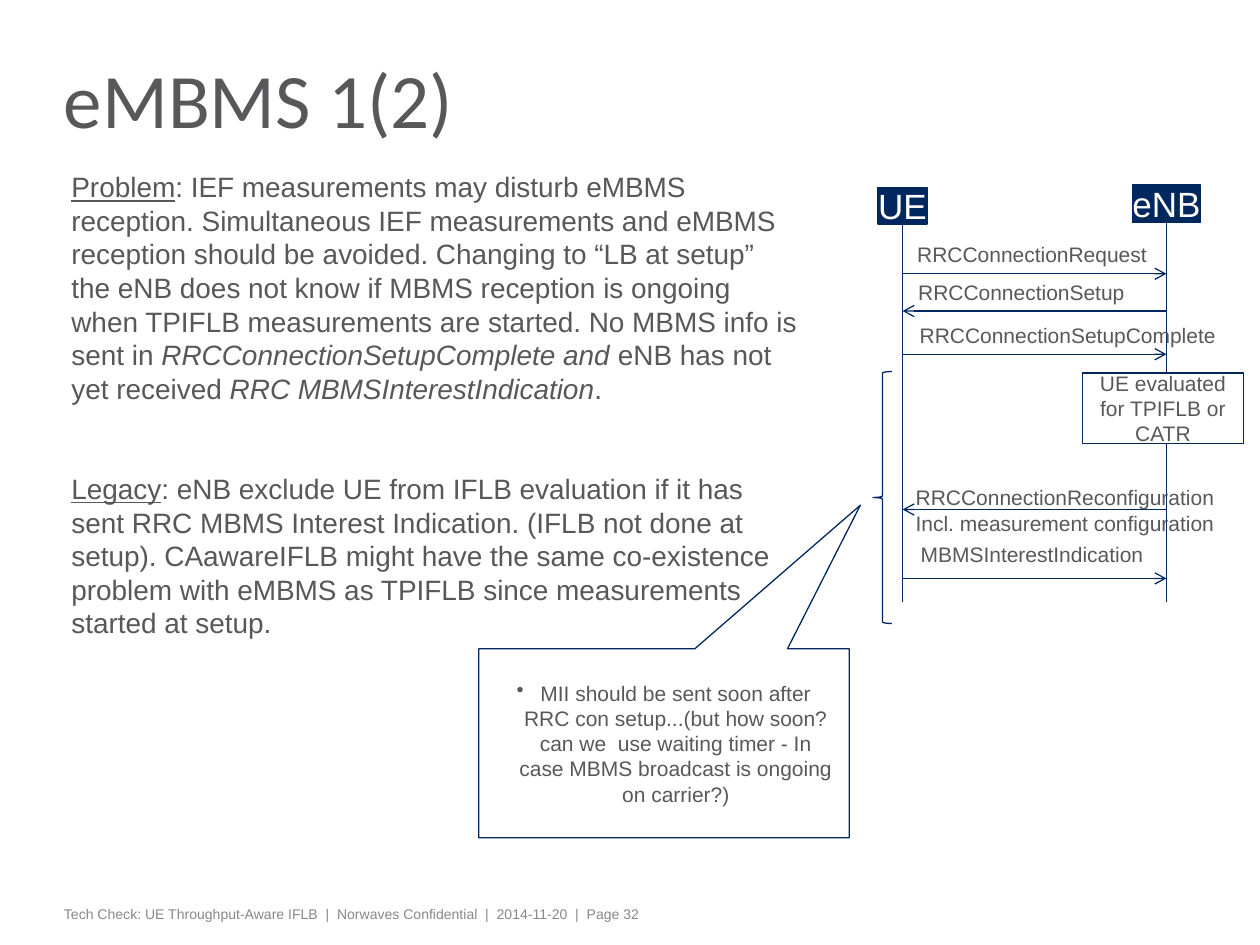
import pptx
import pptx.util
import pptx.dml.color
import pptx.enum.dml
import pptx.enum.shapes
import pptx.enum.text
import pptx.oxml
import pptx.oxml.ns
from lxml import etree

Cm, Pt = pptx.util.Cm, pptx.util.Pt
RGB = pptx.dml.color.RGBColor.from_string
SHAPE = pptx.enum.shapes.MSO_SHAPE
ALIGN = pptx.enum.text.PP_ALIGN
ANCHOR = pptx.enum.text.MSO_ANCHOR
AUTO_SIZE = pptx.enum.text.MSO_AUTO_SIZE

THEME = {
    "navy": "00285E", "text": "58585A", "muted": "87888A", "white": "FFFFFF",
    "title_font": "Calibri", "font": "Arial",
    "title": 44, "node": 20, "body": 16, "label": 12, "footer": 8, "line": 0.75,
}

# Content: runs are (text, style); boxes are (left, top, width, height) in cm
TITLE = "eMBMS 1(2)"
FOOTER = "Tech Check: UE Throughput-Aware IFLB  |  Norwaves Confidential  |  2014-11-20  |  Page 32"
BODY = [
    [
        ("Problem", "underline"),
        (": IEF measurements may disturb eMBMS reception. Simultaneous IEF measurements "
         "and eMBMS reception should be avoided. Changing to “LB at setup” the eNB does not "
         "know if MBMS reception is ongoing when TPIFLB measurements are started. "
         "No MBMS info is sent in ", None),
        ("RRCConnectionSetupComplete and ", "italic"),
        ("eNB has not yet received ", None),
        ("RRC MBMSInterestIndication", "italic"),
        (".", None),
    ],
    [
        ("Legacy", "underline"),
        (": eNB exclude UE from IFLB evaluation if it has sent RRC MBMS Interest Indication. "
         "(IFLB not done at setup). CAawareIFLB might have the same co-existence problem with "
         "eMBMS as TPIFLB since measurements started at setup.", None),
    ],
]
NODES = {"UE": (17.7, 3.78, 0.99, 0.74), "eNB": (22.83, 3.73, 1.37, 0.76)}
LIFELINE_END = 12.13
# (label lines, label box, arrow height, sender, receiver)
MESSAGES = [
    (["RRCConnectionRequest"], (18.24, 4.75, 5.26, 0.76), 5.52, "UE", "eNB"),
    (["RRCConnectionSetup"], (18.26, 5.51, 4.67, 0.76), 6.27, "eNB", "UE"),
    (["RRCConnectionSetupComplete"], (18.29, 6.38, 6.48, 0.76), 7.14, "UE", "eNB"),
    (["RRCConnectionReconfiguration", "Incl. measurement configuration"],
     (18.21, 9.65, 6.53, 1.27), 10.27, "eNB", "UE"),
    (["MBMSInterestIndication"], (18.31, 10.8, 5.0, 0.76), 11.66, "UE", "eNB"),
]
EVALUATION = "UE evaluated for TPIFLB or CATR"
CALLOUT = ("MII should be sent soon after RRC con setup...(but how soon? can we  use "
           "waiting timer - In case MBMS broadcast is ongoing on carrier?)")


def set_font(paragraph, size, color="text", font="font"):
    paragraph.font.size = Pt(THEME[size])
    paragraph.font.name = THEME[font]
    paragraph.font.color.rgb = RGB(THEME[color])


def add_text(slide, box, paragraphs, size, color="text", wrap=True):
    frame = slide.shapes.add_textbox(*map(Cm, box)).text_frame
    frame.word_wrap = wrap
    for index, runs in enumerate(paragraphs):
        paragraph = frame.add_paragraph() if index else frame.paragraphs[0]
        for text, style in runs:
            run = paragraph.add_run()
            run.text = text
            if style:
                setattr(run.font, style, True)
        set_font(paragraph, size, color)
    return frame


def add_box(slide, kind, box, fill=None):
    shape = slide.shapes.add_shape(kind, *map(Cm, box))
    shape.shadow.inherit = False
    if fill:
        shape.fill.solid()
        shape.fill.fore_color.rgb = RGB(THEME[fill])
    else:
        shape.fill.background()
    shape.line.color.rgb = RGB(THEME["navy"])
    shape.line.width = Pt(THEME["line"])
    return shape


def write_centred(shape, text, size, color="text", wrap=True):
    frame = shape.text_frame
    frame.word_wrap = wrap
    frame.vertical_anchor = ANCHOR.MIDDLE
    paragraph = frame.paragraphs[0]
    paragraph.text = text
    paragraph.alignment = ALIGN.CENTER
    set_font(paragraph, size, color)
    return paragraph


def add_line(slide, start, end, arrow=False):
    line = slide.shapes.add_connector(
        pptx.enum.shapes.MSO_CONNECTOR.STRAIGHT, *map(Cm, start + end))
    line.line.color.rgb = RGB(THEME["navy"])
    line.line.width = Pt(THEME["line"])
    if arrow:
        etree.SubElement(line.line._get_or_add_ln(),
                         pptx.oxml.ns.qn("a:tailEnd"), type="arrow")
    etree.SubElement(line._element.spPr, pptx.oxml.ns.qn("a:effectLst"))
    return line


def add_bullet(paragraph):
    properties = paragraph._p.get_or_add_pPr()
    properties.set("marL", str(Cm(0.48)))
    properties.set("indent", str(-Cm(0.48)))
    bullet = etree.Element(pptx.oxml.ns.qn("a:buChar"), char="•")
    properties.insert(0, bullet)


def main():
    presentation = pptx.Presentation()
    presentation.slide_width, presentation.slide_height = Cm(25.4), Cm(19.05)
    slide = presentation.slides.add_slide(presentation.slide_layouts[5])

    # Title
    title = slide.shapes.title
    title.left, title.top, title.width, title.height = map(Cm, (1.09, 0.66, 20.83, 3.02))
    frame = title.text_frame
    frame.text = TITLE
    frame.auto_size = AUTO_SIZE.NONE
    frame.vertical_anchor = ANCHOR.MIDDLE
    frame.margin_left = frame.margin_right = Cm(0.2)
    frame.margin_top = frame.margin_bottom = 0
    frame.paragraphs[0].alignment = ALIGN.LEFT
    frame.paragraphs[0].line_spacing = 0.75
    set_font(frame.paragraphs[0], "title", font="title_font")

    # Body and footer
    body = add_text(slide, (1.19, 3.3, 15.14, 11.1), BODY, "body")
    body.paragraphs[1].space_before = Pt(38)
    footer = add_text(slide, (1.09, 18.14, 20.55, 0.61), [[(FOOTER, None)]], "footer", "muted")
    footer.margin_left = footer.margin_right = Cm(0.2)

    # Nodes and their lifelines
    lifelines = {}
    for name, box in NODES.items():
        node = add_box(slide, SHAPE.RECTANGLE, box, "navy")
        write_centred(node, name, "node", "white", wrap=False)
        left, top, width, height = box
        lifelines[name] = left + width / 2
        line = add_line(slide, (lifelines[name], top + height), (lifelines[name], LIFELINE_END))
        line.begin_connect(node, 2)

    # Messages between the lifelines
    for lines, box, height, sender, receiver in MESSAGES:
        add_line(slide, (lifelines[sender], height), (lifelines[receiver], height), arrow=True)
        add_text(slide, box, [[(text, None)] for text in lines], "label", wrap=False)

    # Evaluation step on the eNB lifeline
    evaluation = add_box(slide, SHAPE.RECTANGLE, (21.82, 7.52, 3.25, 1.42), "white")
    write_centred(evaluation, EVALUATION, "label")

    # Brace over the waiting period, and its comment
    brace = add_box(slide, SHAPE.LEFT_BRACE, (17.6, 7.49, 0.38, 5.08))
    brace.adjustments[0] = 0.08
    callout = add_box(slide, SHAPE.RECTANGULAR_CALLOUT, (9.65, 13.08, 7.47, 3.81))
    callout.adjustments[0], callout.adjustments[1] = 0.53, -1.26
    frame = callout.text_frame
    add_bullet(frame.paragraphs[0])
    write_centred(callout, CALLOUT, "label")

    presentation.save("out.pptx")


if __name__ == "__main__":
    main()
